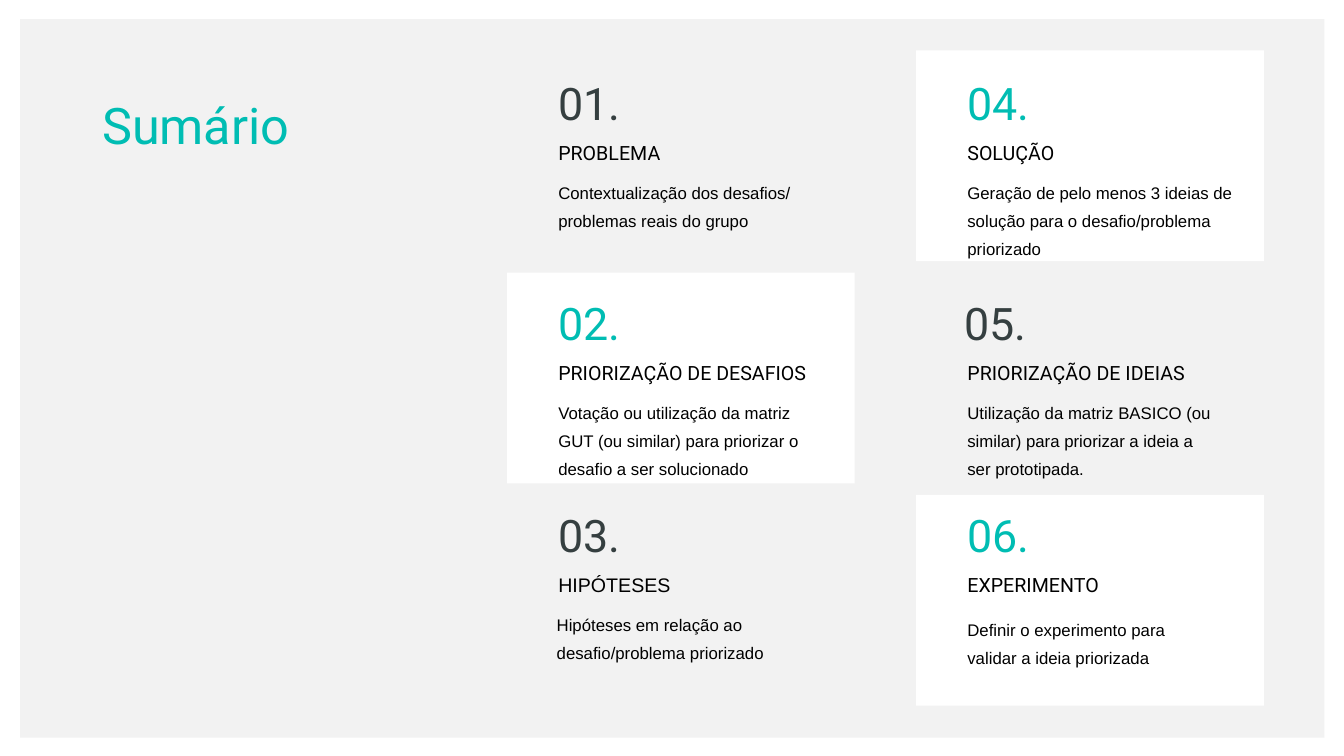
from dataclasses import dataclass

from pptx import Presentation
from pptx.dml.color import RGBColor
from pptx.enum.shapes import MSO_SHAPE as Preset
from pptx.util import Cm, Pt


@dataclass(frozen=True)
class Theme:
    panel: str = "F2F2F2"
    card: str = "FFFFFF"
    accent: str = "00BDB3"
    dark: str = "353F40"
    text: str = "000000"
    display_font: str = "Roboto"
    body_font: str = "Arial"
    title_size: int = 36
    number_size: int = 32
    heading_size: int = 14
    body_size: int = 12


@dataclass(frozen=True)
class Topic:
    heading: str
    body: str
    on_card: bool = False
    body_width: float = 6.76
    heading_font: str = "Roboto"
    number_shift: float = 0
    body_shift: tuple = (0, 0)


THEME = Theme()

ROWS = 3
COLUMN_LEFT, COLUMN_STEP = 13.82, 10.31
ROW_TOPS = (1.78, 7.32, 12.67)
CARD_LEFT, CARD_TOP, CARD_STEP = 12.78, 1.27, 5.6
CARD_WIDTH, CARD_HEIGHT = 8.76, 5.31
HEADING_DROP, BODY_DROP = 1.64, 2.49

TOPICS = (
    Topic("PROBLEMA", "Contextualização dos desafios/ problemas reais do grupo",
          body_width=7.72),
    Topic("PRIORIZAÇÃO DE DESAFIOS",
          "Votação ou utilização da matriz GUT (ou similar) para priorizar o "
          "desafio a ser solucionado", on_card=True),
    Topic("HIPÓTESES", "Hipóteses em relação ao desafio/problema priorizado",
          heading_font=THEME.body_font, body_shift=(-0.04, 0)),
    Topic("SOLUÇÃO",
          "Geração de pelo menos 3 ideias de solução para o desafio/problema "
          "priorizado", on_card=True, body_width=7.32),
    Topic("PRIORIZAÇÃO DE IDEIAS",
          "Utilização da matriz BASICO (ou similar) para priorizar a ideia a "
          "ser prototipada.", number_shift=-0.08),
    Topic("EXPERIMENTO", "Definir o experimento para validar a ideia priorizada",
          on_card=True, body_shift=(0, 0.12)),
)


def add_rectangle(slide, left, top, width, height, color):
    shape = slide.shapes.add_shape(
        Preset.RECTANGLE, Cm(left), Cm(top), Cm(width), Cm(height))
    shape.shadow.inherit = False
    shape.fill.solid()
    shape.fill.fore_color.rgb = RGBColor.from_string(color)
    shape.line.fill.background()


def add_text(slide, text, left, top, width, height, *, size,
             font=THEME.display_font, color=THEME.text, spacing=1.0):
    box = slide.shapes.add_textbox(Cm(left), Cm(top), Cm(width), Cm(height))
    box.text_frame.word_wrap = True
    paragraph = box.text_frame.paragraphs[0]
    paragraph.line_spacing = spacing
    run = paragraph.add_run()
    run.text = text
    run.font.name = font
    run.font.size = Pt(size)
    run.font.color.rgb = RGBColor.from_string(color)


def add_topic(slide, index, topic):
    column, row = divmod(index, ROWS)
    left = COLUMN_LEFT + column * COLUMN_STEP
    top = ROW_TOPS[row]
    if topic.on_card:
        add_rectangle(slide, CARD_LEFT + column * COLUMN_STEP,
                      CARD_TOP + row * CARD_STEP,
                      CARD_WIDTH, CARD_HEIGHT, THEME.card)
    add_text(slide, f"{index + 1:02}.", left + topic.number_shift, top, 2.77, 1.63,
             size=THEME.number_size,
             color=THEME.accent if topic.on_card else THEME.dark)
    add_text(slide, topic.heading, left, top + HEADING_DROP, 7.4, 0.86,
             size=THEME.heading_size, font=topic.heading_font)
    shift_x, shift_y = topic.body_shift
    add_text(slide, topic.body, left + shift_x, top + BODY_DROP + shift_y,
             topic.body_width, 1.7, size=THEME.body_size,
             font=THEME.body_font, spacing=1.4)


def main():
    presentation = Presentation()
    presentation.slide_width = Cm(33.87)
    presentation.slide_height = Cm(19.05)
    slide = presentation.slides.add_slide(presentation.slide_layouts[6])
    add_rectangle(slide, 0.51, 0.48, 32.87, 18.11, THEME.panel)
    add_text(slide, " Sumário", 2.01, 1.78, 9.65, 2.06, size=THEME.title_size,
             color=THEME.accent, spacing=1.3)
    for index, topic in enumerate(TOPICS):
        add_topic(slide, index, topic)
    presentation.save("out.pptx")


if __name__ == "__main__":
    main()
